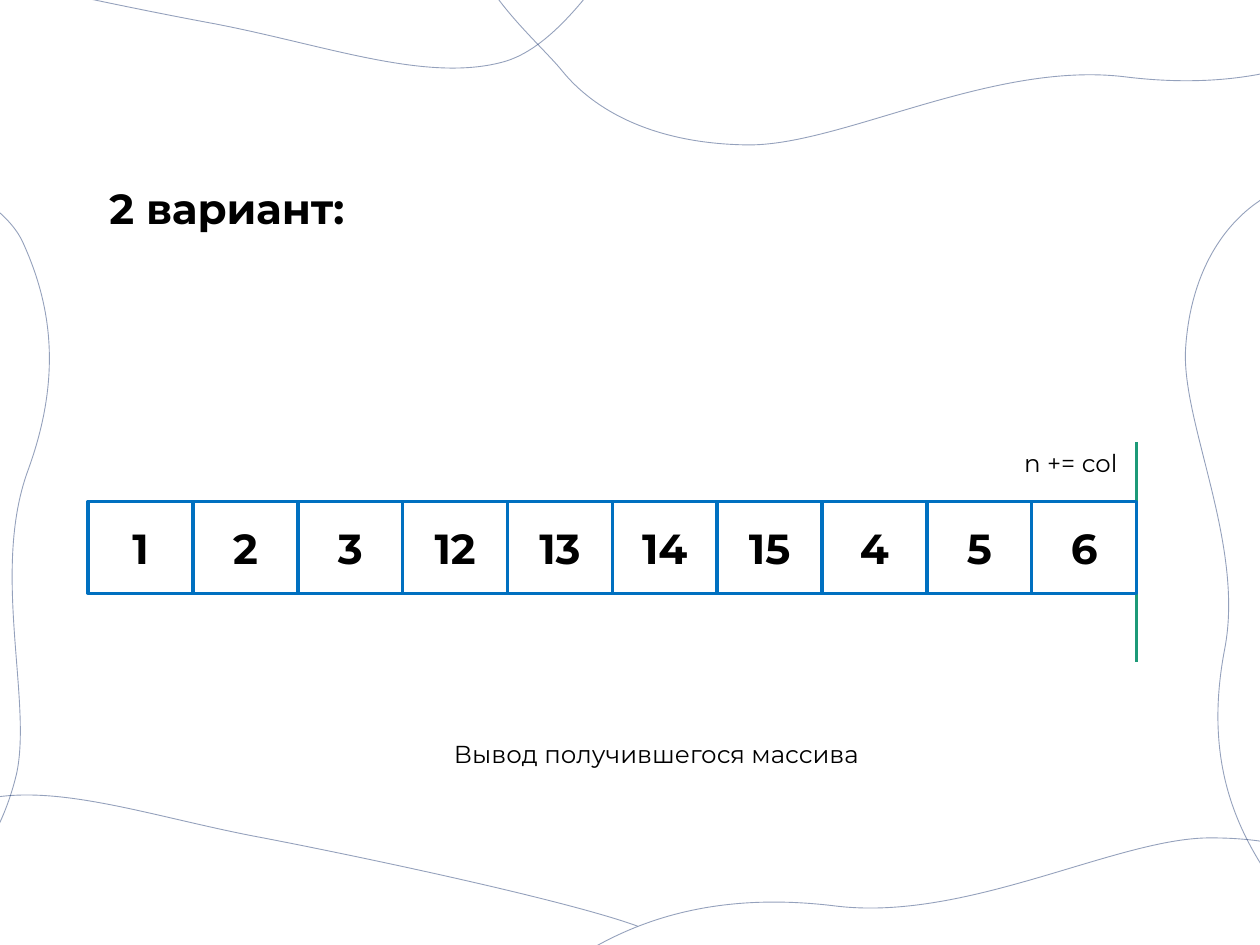
from typing import NamedTuple

from lxml import etree
from pptx import Presentation
from pptx.dml.color import RGBColor
from pptx.enum.shapes import MSO_CONNECTOR, MSO_SHAPE
from pptx.enum.text import MSO_ANCHOR, MSO_AUTO_SIZE, PP_ALIGN
from pptx.oxml.ns import qn
from pptx.util import Inches, Pt

LEFT, CENTER = PP_ALIGN.LEFT, PP_ALIGN.CENTER
MIDDLE = MSO_ANCHOR.MIDDLE
FIT_TEXT = MSO_AUTO_SIZE.SHAPE_TO_FIT_TEXT
RECT, STRAIGHT = MSO_SHAPE.RECTANGLE, MSO_CONNECTOR.STRAIGHT

BLACK = RGBColor(0x00, 0x00, 0x00)
WHITE = RGBColor(0xFF, 0xFF, 0xFF)
BLUE = RGBColor(0x00, 0x70, 0xC0)
GREEN = RGBColor(0x1D, 0x9A, 0x78)
NAVY = RGBColor(0x00, 0x20, 0x60)
FONT = "Montserrat"

Point = tuple[float, float]


class Label(NamedTuple):
    text: str
    left: float
    top: float
    width: float
    height: float
    size: int
    bold: bool = False
    align: PP_ALIGN = LEFT


LABELS = [
    Label("2 вариант:", 0.77, 1.4, 2.69, 0.5, 24, bold=True),
    Label("Вывод получившегося массива", 3.05, 5.82, 4.32, 0.34, 14, align=CENTER),
    Label("n += col", 8.03, 3.51, 1, 0.34, 14),
]

# Array row: cells share one pitch, and the marker stands at the row's right end
VALUES = [1, 2, 3, 12, 13, 14, 15, 4, 5, 6]
ROW_LEFT, ROW_TOP, ROW_RIGHT = 0.7, 3.98, 9.02
CELL_HEIGHT = 0.73
MARKER_TOP, MARKER_BOTTOM = 3.51, 5.25

# Border curves: a start point, then three points for each Bezier segment
CURVES: list[list[Point]] = [
    # left
    [(-0.72, 1.67),
     (-0.97, 2.05), (-1.44, 5.94), (-1.63, 6.97),
     (-1.82, 8.01), (-0.89, 7.32), (-0.6, 7.18),
     (-0.31, 7.04), (-0.01, 6.72), (0.13, 6.15),
     (0.26, 5.58), (-0.07, 4.54), (0.22, 3.74),
     (0.51, 2.95), (0.39, 2.38), (0.18, 1.92),
     (-0.03, 1.47), (-0.96, 1.22), (-1.05, 1.01)],
    # right
    [(10.99, 7.03),
     (11.17, 6.62), (10.99, 2.71), (11.01, 1.65),
     (11.02, 0.6), (10.23, 1.44), (9.96, 1.62),
     (9.7, 1.81), (9.45, 2.17), (9.41, 2.76),
     (9.37, 3.34), (9.88, 4.32), (9.72, 5.15),
     (9.56, 5.98), (9.78, 6.52), (10.06, 6.94),
     (10.35, 7.35), (11.3, 7.44), (11.42, 7.63)],
    # bottom left
    [(5.06, 7.35),
     (4.51, 7.15), (2.97, 6.82), (2.09, 6.65),
     (1.22, 6.49), (0.41, 6.19), (-0.19, 6.36),
     (-0.79, 6.53), (-1.25, 7.6), (-1.54, 7.67)],
    # bottom right
    [(4.33, 8.87),
     (4.86, 9.05), (9.79, 8.56), (11.13, 8.51),
     (12.46, 8.45), (11.34, 7.54), (11.09, 7.23),
     (10.84, 6.92), (10.37, 6.65), (9.62, 6.65),
     (8.88, 6.64), (7.68, 7.32), (6.63, 7.19),
     (5.57, 7.06), (4.89, 7.36), (4.39, 7.73),
     (3.89, 8.1), (3.84, 9.27), (3.6, 9.43)],
    # top left
    [(-1.26, -0.5),
     (-0.7, -0.3), (0.84, 0.03), (1.71, 0.19),
     (2.59, 0.36), (3.39, 0.66), (4, 0.49),
     (4.6, 0.32), (5.06, -0.75), (5.34, -0.82)],
    # top right
    [(11.22, -1.07),
     (10.69, -1.25), (5.76, -0.77), (4.43, -0.71),
     (3.09, -0.66), (4.21, 0.25), (4.46, 0.56),
     (4.71, 0.87), (5.18, 1.14), (5.93, 1.15),
     (6.67, 1.16), (7.87, 0.48), (8.93, 0.61),
     (9.99, 0.74), (10.66, 0.44), (11.16, 0.07),
     (11.67, -0.31), (11.71, -1.47), (11.95, -1.63)],
]


def set_text(tf, text: str, size: int, bold: bool, align: PP_ALIGN) -> None:
    tf.text = text
    p = tf.paragraphs[0]
    p.alignment = align
    font = p.runs[0].font
    font.name, font.size, font.bold = FONT, Pt(size), bold
    font.color.rgb = BLACK


def draw_curve(s, points: list[Point]) -> None:
    start, *rest = [(Inches(x), Inches(y)) for x, y in points]
    builder = s.shapes.build_freeform(*start)
    builder.add_line_segments(rest, close=False)
    sp = builder.convert_to_shape()
    sp.shadow.inherit = False
    sp.fill.background()
    sp.line.color.rgb = NAVY
    sp.line.width = Pt(0.5)
    color = sp.line._ln.find(".//" + qn("a:srgbClr"))
    etree.SubElement(color, qn("a:alpha"), val="42000")

    # Merge every three straight segments into one Bezier segment
    outline = sp._element.find(".//" + qn("a:path"))
    segments = outline.findall(qn("a:lnTo"))
    for i in range(0, len(segments), 3):
        bezier = etree.SubElement(outline, qn("a:cubicBezTo"))
        for segment in segments[i:i + 3]:
            bezier.append(segment[0])
            outline.remove(segment)


def draw_label(s, label: Label) -> None:
    box = s.shapes.add_textbox(Inches(label.left), Inches(label.top),
                               Inches(label.width), Inches(label.height))
    tf = box.text_frame
    tf.word_wrap = True
    tf.auto_size = FIT_TEXT
    set_text(tf, label.text, label.size, label.bold, label.align)


def draw_cell(s, value: int, left: float, width: float) -> None:
    sp = s.shapes.add_shape(RECT, Inches(left), Inches(ROW_TOP),
                            Inches(width), Inches(CELL_HEIGHT))
    sp.shadow.inherit = False
    sp.fill.solid()
    sp.fill.fore_color.rgb = WHITE
    sp.line.color.rgb = BLUE
    sp.line.width = Pt(2)
    sp.text_frame.vertical_anchor = MIDDLE
    set_text(sp.text_frame, str(value), 24, True, CENTER)


def draw_marker(s) -> None:
    line = s.shapes.add_connector(STRAIGHT, Inches(ROW_RIGHT), Inches(MARKER_TOP),
                                  Inches(ROW_RIGHT), Inches(MARKER_BOTTOM))
    line.line.color.rgb = GREEN
    line.line.width = Pt(2)
    etree.SubElement(line._element.spPr, qn("a:effectLst"))


def main() -> None:
    prs = Presentation()
    prs.slide_width, prs.slide_height = Inches(10), Inches(7.5)
    s = prs.slides.add_slide(prs.slide_layouts[6])

    # Decorative border
    for points in CURVES:
        draw_curve(s, points)

    # Marker lies behind the array cells
    draw_marker(s)
    pitch = (ROW_RIGHT - ROW_LEFT) / len(VALUES)
    for i, value in enumerate(VALUES):
        draw_cell(s, value, ROW_LEFT + i * pitch, pitch)

    # Title and captions
    for label in LABELS:
        draw_label(s, label)

    prs.save("out.pptx")


if __name__ == "__main__":
    main()
